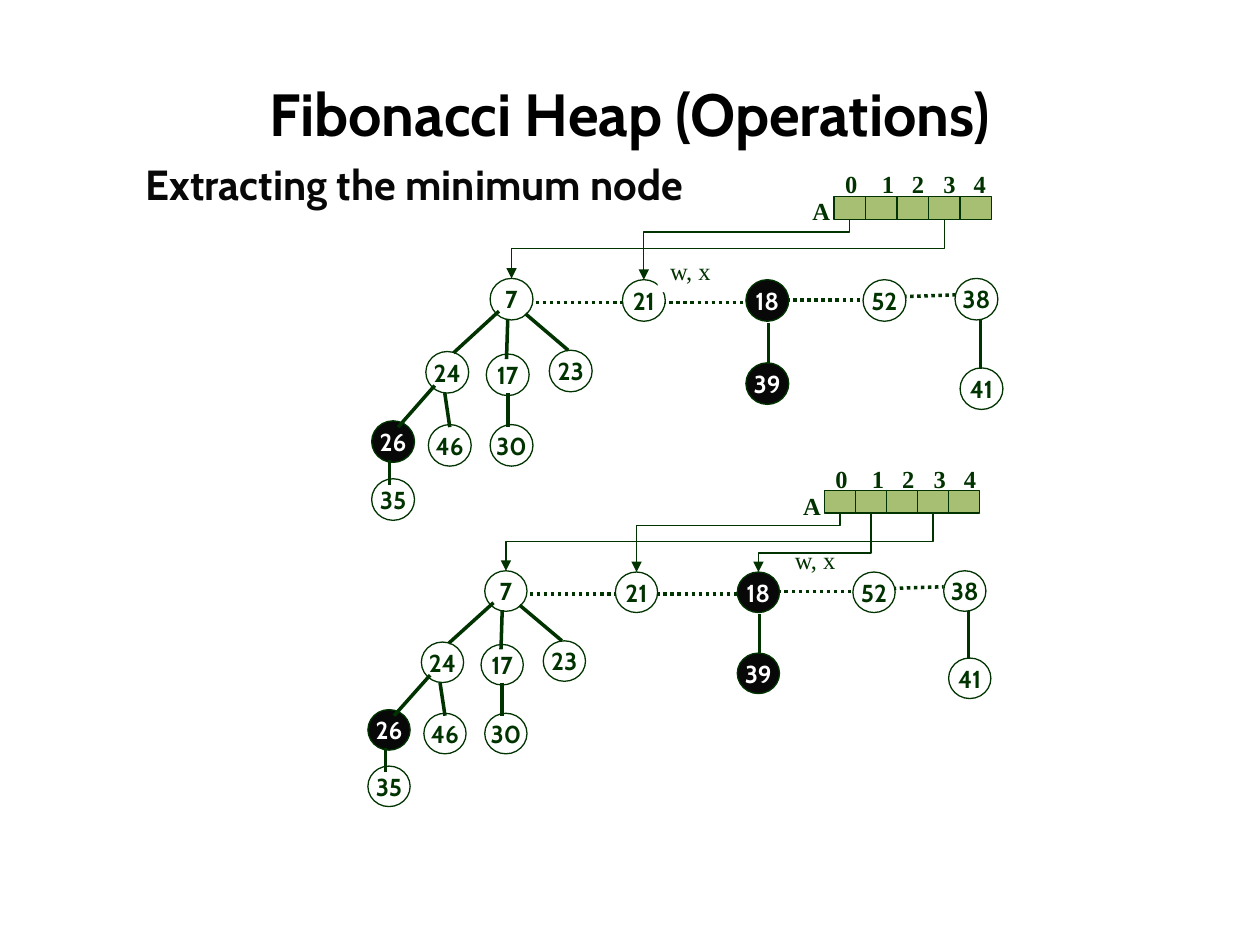
from lxml import etree
from pptx import Presentation
from pptx.dml.color import RGBColor
from pptx.enum.dml import MSO_LINE
from pptx.enum.shapes import MSO_CONNECTOR as CONN, MSO_SHAPE as SHAPE
from pptx.enum.text import MSO_ANCHOR as ANCHOR, PP_ALIGN as ALIGN
from pptx.oxml.ns import qn
from pptx.util import Inches, Pt

GREEN, OLIVE, BLACK, WHITE = "003300", "A6BF73", "080808", "FFFFFF"
SANS, SERIF = "Cabin", "Times New Roman"

# Coordinates of the first heap; the second is the same drawing, slightly smaller.
NODE_W, NODE_H = 0.34, 0.33
NODES = {
    "7": (3.89, 2.21), "21": (4.94, 2.22), "18": (5.92, 2.22),
    "52": (6.85, 2.22), "38": (7.58, 2.21),
    "24": (3.38, 2.79), "17": (3.86, 2.81), "23": (4.36, 2.78),
    "39": (5.92, 2.88), "41": (7.62, 2.92),
    "26": (2.95, 3.34), "46": (3.4, 3.37), "30": (3.89, 3.37),
    "35": (2.95, 3.8),
}
MARKED = {"18", "39", "26"}
ROOT_LINKS = [(4.25, 2.4, 5.99, 2.4), (5.96, 2.38, 7.1, 2.38), (7, 2.36, 7.58, 2.34)]
TREE_EDGES = [
    (6.1, 2.56, 6.1, 2.89), (7.78, 2.54, 7.78, 2.93),
    (4.03, 3.12, 4.03, 3.39), (3.45, 3.06, 3.16, 3.39),
    (3.53, 3.12, 3.57, 3.39), (3.09, 3.65, 3.09, 3.85),
    (4.03, 2.53, 4.02, 2.85), (4.17, 2.49, 4.51, 2.78),
    (3.96, 2.47, 3.6, 2.8),
]
CELL_X, CELL_Y, CELL_W, CELL_H, CELLS = 6.62, 1.56, 0.25, 0.18, 5
INDEX_TABS = (0.29, 0.53, 0.78, 1.02)

# origin: where (2.95, 2.21) of the first heap lands
# pointers: array index, node, share of the drop before the bend
HEAPS = [
    dict(origin=(2.95, 2.21), scale=(1, 1), label=(5.22, 1.98),
         pointers=[(3, "7", 0.5), (0, "21", 0.21)]),
    dict(origin=(2.92, 4.53), scale=(0.987, 0.975), label=(6.21, 4.28),
         pointers=[(3, "7", 0.5), (0, "21", 0.21), (1, "18", 0.68)]),
]


def rgb(color):
    return RGBColor.from_string(color)


def write(sp, text, size, font, color, bold=True, align=ALIGN.LEFT):
    p = sp.text_frame.paragraphs[0]
    p.alignment = align
    r = p.add_run()
    r.text = text
    r.font.size, r.font.name, r.font.bold = Pt(size), font, bold
    r.font.color.rgb = rgb(color)
    return p


def add_text(s, box, *args, **kwargs):
    sp = s.shapes.add_textbox(*map(Inches, box))
    sp.text_frame.word_wrap = True
    return sp, write(sp, *args, **kwargs)


def add_label(s, x, y, w, text, bold=True):
    sp, p = add_text(s, (x, y, w, 0.34), text, 14, SERIF, GREEN, bold)
    sp.text_frame.margin_right = 0
    return sp, p


def add_box(s, kind, box, fill):
    sp = s.shapes.add_shape(kind, *map(Inches, box))
    sp.shadow.inherit = False
    sp.fill.solid()
    sp.fill.fore_color.rgb = rgb(fill)
    sp.line.color.rgb = rgb(GREEN)
    sp.line.width = Pt(0.75)
    return sp


def add_line(s, ends, width, kind=CONN.STRAIGHT):
    line = s.shapes.add_connector(kind, *map(Inches, ends))
    line.line.color.rgb = rgb(GREEN)
    line.line.width = Pt(width)
    etree.SubElement(line._element.spPr, qn("a:effectLst"))
    return line


def add_pointer(s, x1, y1, x2, y2, bend):
    """Arrow going down, left and down again: an elbow turned by 90 degrees."""
    cx, cy = (x1 + x2) / 2, (y1 + y2) / 2
    half_w, half_h = (x1 - x2) / 2, (y2 - y1) / 2
    line = add_line(s, (cx - half_h, cy - half_w, cx + half_h, cy + half_w),
                    0.75, CONN.ELBOW)
    sp_pr = line._element.spPr
    sp_pr.find(qn("a:xfrm")).set("rot", "5400000")
    guides = sp_pr.find(qn("a:prstGeom")).find(qn("a:avLst"))
    etree.SubElement(guides, qn("a:gd"), name="adj1", fmla=f"val {round(bend * 100000)}")
    etree.SubElement(sp_pr.find(qn("a:ln")), qn("a:tailEnd"), type="triangle")


def add_index_row(s, x, y):
    _, p = add_label(s, x, y, 1.33, "\t".join(map(str, range(CELLS))))
    tabs = etree.SubElement(p._p.get_or_add_pPr(), qn("a:tabLst"))
    for pos in INDEX_TABS:
        etree.SubElement(tabs, qn("a:tab"), pos=str(Inches(pos)), algn="l")


def draw_heap(s, origin, scale, label, pointers):
    def place(x, y):
        return (origin[0] + (x - 2.95) * scale[0], origin[1] + (y - 2.21) * scale[1])

    def place_box(x, y, w, h):
        return (*place(x, y), w * scale[0], h * scale[1])

    def place_line(x1, y1, x2, y2):
        return (*place(x1, y1), *place(x2, y2))

    add_index_row(s, *place(6.61, 1.29))
    for i in range(CELLS):
        add_box(s, SHAPE.RECTANGLE,
                place_box(CELL_X + i * CELL_W, CELL_Y, CELL_W, CELL_H), OLIVE)
    add_label(s, *place(6.35, 1.51), 0.34, "A")

    for link in ROOT_LINKS:
        add_line(s, place_line(*link), 2).line.dash_style = MSO_LINE.ROUND_DOT
    for key, (x, y) in NODES.items():
        fill, ink = (BLACK, WHITE) if key in MARKED else (WHITE, GREEN)
        sp = add_box(s, SHAPE.OVAL, place_box(x, y, NODE_W, NODE_H), fill)
        sp.text_frame.word_wrap = False
        sp.text_frame.vertical_anchor = ANCHOR.MIDDLE
        write(sp, key, 14, SANS, ink, align=ALIGN.CENTER)
    for edge in TREE_EDGES:
        add_line(s, place_line(*edge), 2)

    sp, _ = add_label(s, *label, 0.53, "w, x", bold=False)
    sp.fill.solid()
    sp.fill.fore_color.rgb = rgb(WHITE)

    for index, key, bend in pointers:
        x, y = NODES[key]
        start = (CELL_X + (index + 0.5) * CELL_W, CELL_Y + CELL_H)
        add_pointer(s, *place_line(*start, x + NODE_W / 2, y), bend)


def main():
    prs = Presentation()
    prs.slide_width, prs.slide_height = Inches(10), Inches(7.5)
    s = prs.slides.add_slide(prs.slide_layouts[6])

    sp, _ = add_text(s, (0.5, 0.5, 9, 0.79), "Fibonacci Heap (Operations)",
                     34, SANS, "000000", align=ALIGN.CENTER)
    sp.text_frame.vertical_anchor = ANCHOR.MIDDLE
    _, p = add_text(s, (1.06, 1.01, 7.87, 2.43), "Extracting the minimum node",
                    24, SANS, BLACK, align=ALIGN.JUSTIFY)
    p.line_spacing = 1.5
    p.space_before = Pt(4.8)

    for heap in HEAPS:
        draw_heap(s, **heap)
    prs.save("out.pptx")


if __name__ == "__main__":
    main()
